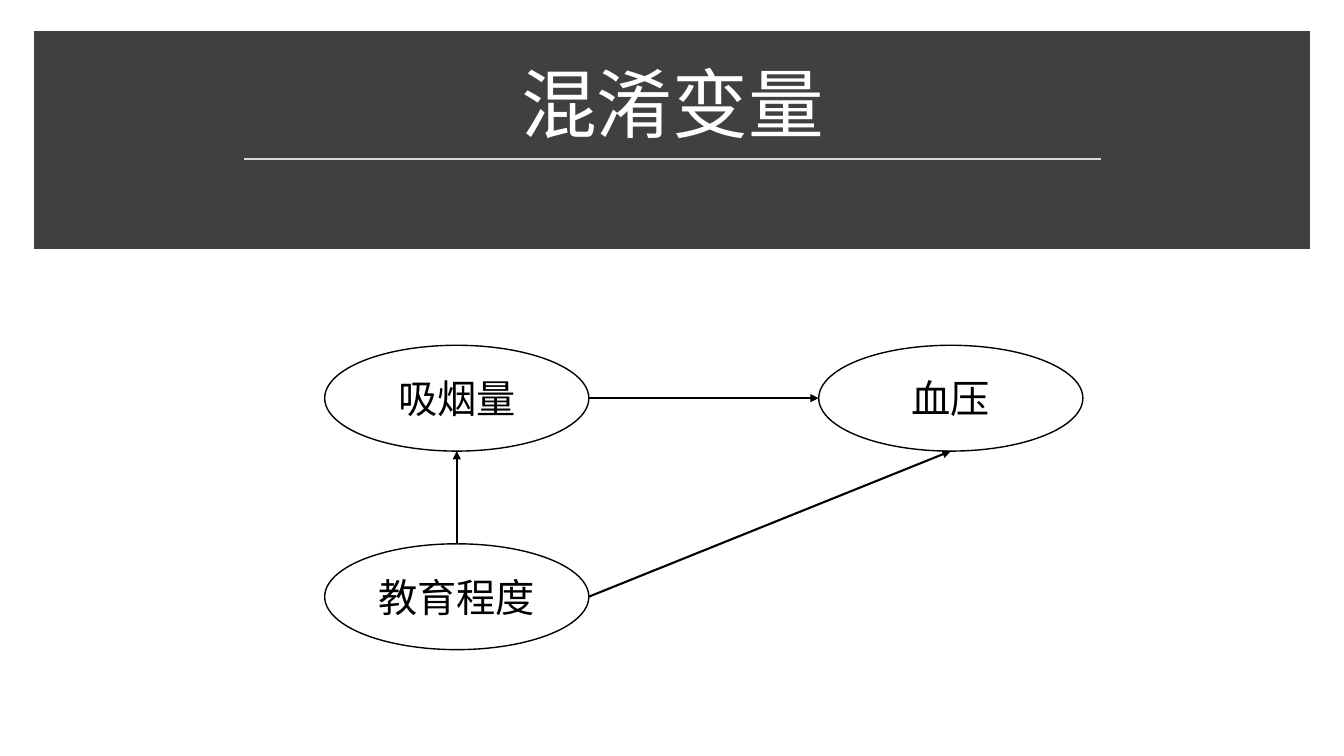
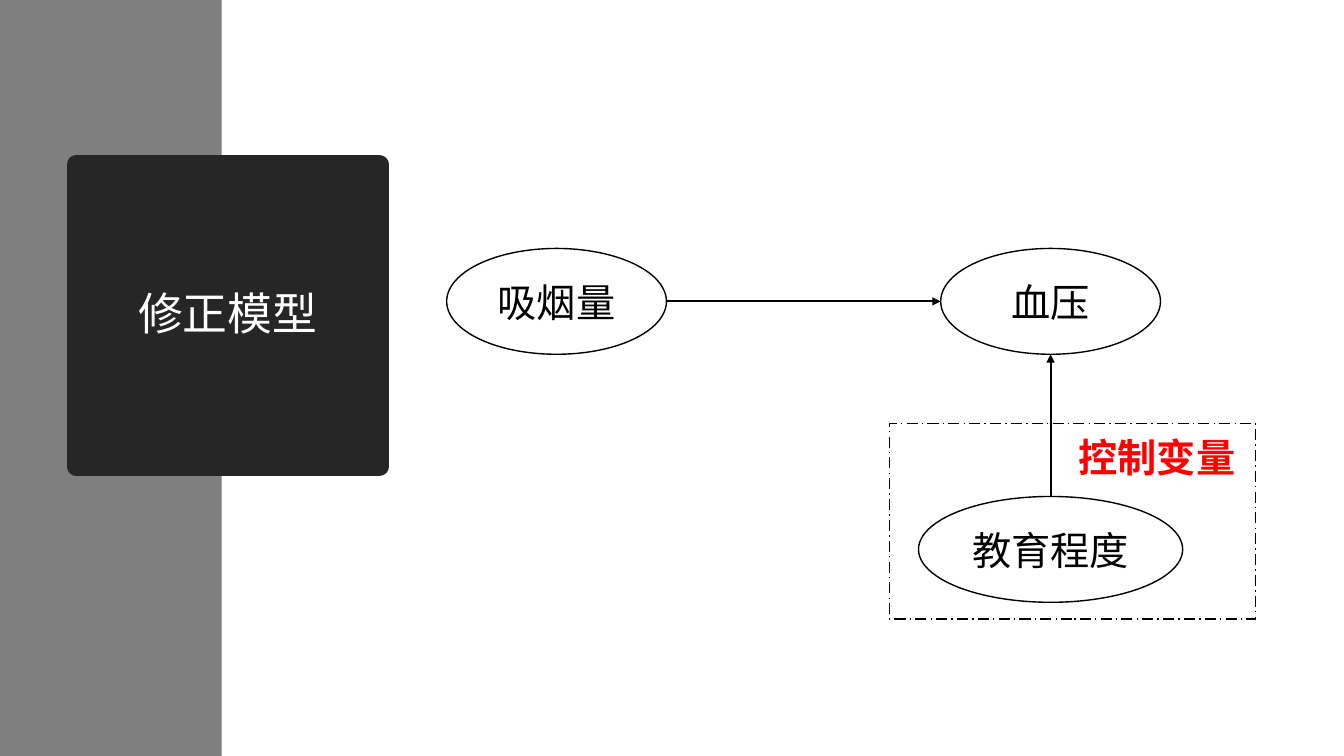
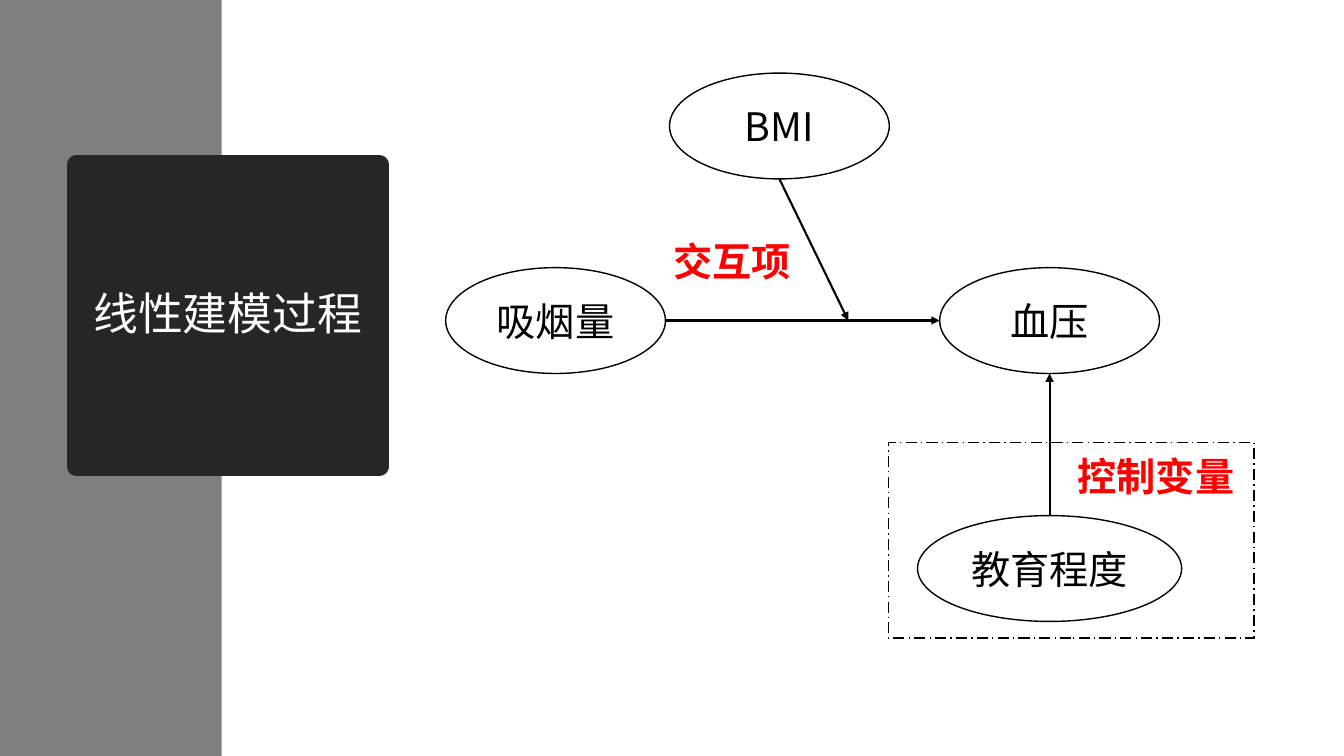
from lxml.etree import SubElement
from pptx import Presentation
from pptx.dml.color import RGBColor
from pptx.enum.dml import MSO_LINE
from pptx.enum.shapes import MSO_CONNECTOR, MSO_SHAPE
from pptx.enum.text import MSO_ANCHOR, MSO_AUTO_SIZE, PP_ALIGN
from pptx.oxml.ns import qn
from pptx.util import Inches, Pt

SLIDE_WIDTH, SLIDE_HEIGHT = 13.33, 7.5
COLORS = {
    "paper": "FFFFFF", "ink": "000000", "accent": "FF0000", "band": "404040",
    "rule": "D9D9D9", "panel": "7F7F7F", "card": "262626",
}
BODY_FONT = "Noto Sans CJK SC"
TEXT = {
    "band title": {"size": Pt(54), "name": "Calibri", "color": "paper"},
    "card title": {"size": Pt(32), "name": "Calibri", "color": "paper"},
    "node": {"size": Pt(28), "name": BODY_FONT, "color": "ink"},
    "label": {"size": Pt(28), "name": BODY_FONT, "color": "accent", "bold": True},
}

# Node places are centre offsets from the first node, and COLUMN is the
# distance from cause to effect. An arrow end is a side of a node, or a
# share of the way along the first arrow.
COLUMN = 4.9
NODE_HEIGHT = 1.05
WIDE, NARROW = 2.62, 2.18
CONTROL_NODE = ("教育程度", COLUMN, 2.46, WIDE)
CONTROL_FRAME = (3.3, 1.21, 3.63, 1.94)
CONTROL_LABEL = ("控制变量", 5.08, 1.26, 1.77)
EFFECT_ARROW = (("吸烟量", "right"), ("血压", "left"))
CONTROL_ARROW = (("教育程度", "top"), ("血压", "bottom"))
PAIR = [("吸烟量", 0, 0, NARROW), ("血压", COLUMN, 0, NARROW)]

SLIDES = [
    {
        "title": "混淆变量", "style": "band", "origin": (4.53, 3.95),
        "nodes": [("吸烟量", 0, 0, WIDE), ("血压", COLUMN, 0, WIDE),
                  ("教育程度", 0, 1.97, WIDE)],
        "arrows": [EFFECT_ARROW,
                   (("教育程度", "right"), ("血压", "bottom")),
                   (("教育程度", "top"), ("吸烟量", "bottom"))],
        "frames": [], "labels": [],
    },
    {
        "title": "修正模型", "style": "card", "origin": (5.52, 2.99),
        "nodes": PAIR + [CONTROL_NODE],
        "arrows": [EFFECT_ARROW, CONTROL_ARROW],
        "frames": [CONTROL_FRAME], "labels": [CONTROL_LABEL],
    },
    {
        "title": "线性建模过程", "style": "card", "origin": (5.51, 3.18),
        "nodes": PAIR + [CONTROL_NODE, ("BMI", 2.22, -1.93, NARROW)],
        "arrows": [EFFECT_ARROW, CONTROL_ARROW, (("BMI", "bottom"), 2 / 3)],
        "frames": [CONTROL_FRAME],
        "labels": [CONTROL_LABEL, ("交互项", 1.07, -0.87, 1.38)],
    },
]
SIDES = {"left": (-0.5, 0), "right": (0.5, 0), "top": (0, -0.5), "bottom": (0, 0.5)}


def rgb(name):
    """Return the named colour."""
    return RGBColor.from_string(COLORS[name])


def set_attributes(target, values):
    """Set every attribute in values on target."""
    for name, value in values.items():
        setattr(target, name, value)


def place(shape, left, top, width, height):
    """Move and size a shape, in inches."""
    set_attributes(shape, {"left": Inches(left), "top": Inches(top),
                           "width": Inches(width), "height": Inches(height)})


def write(shape, text, style, align, anchor, **frame_values):
    """Write one paragraph in a named text style."""
    frame = shape.text_frame
    frame.text = text
    set_attributes(frame, {"vertical_anchor": anchor, **frame_values})
    paragraph = frame.paragraphs[0]
    paragraph.alignment = align
    font = paragraph.runs[0].font
    values = dict(TEXT[style])
    font.color.rgb = rgb(values.pop("color"))
    set_attributes(font, values)
    SubElement(font._element, qn("a:ea"), typeface=BODY_FONT)
    return paragraph


def paint(shape, fill, line=None, width=1, dash=None, join="miter"):
    """Fill a shape and draw its outline."""
    shape.fill.solid()
    shape.fill.fore_color.rgb = rgb(fill)
    if line is None:
        shape.line.fill.background()
        return
    shape.line.color.rgb = rgb(line)
    shape.line.width = Pt(width)
    if dash is not None:
        shape.line.dash_style = dash
    SubElement(shape.line._ln, qn("a:" + join))


def add_shape(slide, kind, box, *outline, **outline_values):
    """Add a painted preset shape without shadow."""
    shape = slide.shapes.add_shape(kind, *(Inches(length) for length in box))
    shape.shadow.inherit = False
    paint(shape, *outline, **outline_values)
    return shape


def add_line(slide, start, end, color, width, arrow=False):
    """Add a straight line, with an arrowhead at its end if asked."""
    points = (Inches(length) for length in (*start, *end))
    line = slide.shapes.add_connector(MSO_CONNECTOR.STRAIGHT, *points)
    line.line.color.rgb = rgb(color)
    line.line.width = Pt(width)
    if arrow:
        SubElement(line.line._ln, qn("a:tailEnd"), type="triangle")
    SubElement(line.element.spPr, qn("a:effectLst"))


def add_title(slide, text, style):
    """Format the title with the band or the card behind it."""
    title = slide.shapes.title
    if style == "band":
        place(title, 0.58, 0.51, 12.18, 1.02)
        anchor = MSO_ANCHOR.BOTTOM
        backdrop = add_shape(slide, MSO_SHAPE.RECTANGLE, (0.41, 0.38, 12.51, 2.02),
                             "band", "band", 10)
        add_line(slide, (2.42, 1.58), (10.92, 1.58), "rule", 1.75)
    else:
        place(title, 0.76, 1.63, 3, 3)
        paint(title, "card", "card", 13.75, join="round")
        anchor = MSO_ANCHOR.MIDDLE
        backdrop = add_shape(slide, MSO_SHAPE.RECTANGLE, (0, 0, 2.2, SLIDE_HEIGHT), "panel")
    title.element.addprevious(backdrop.element)
    paragraph = write(title, text, style + " title", PP_ALIGN.CENTER, anchor,
                      word_wrap=True, auto_size=MSO_AUTO_SIZE.NONE)
    paragraph.line_spacing = 0.9


def add_model(slide, origin, nodes, arrows, frames, labels):
    """Draw the frames, nodes, arrows and labels of a causal model."""
    origin_x, origin_y = origin
    for across, down, width, height in frames:
        add_shape(slide, MSO_SHAPE.RECTANGLE,
                  (origin_x + across, origin_y + down, width, height),
                  "paper", "ink", dash=MSO_LINE.LONG_DASH_DOT)

    centers = {}
    for name, across, down, width in nodes:
        x, y = origin_x + across, origin_y + down
        centers[name] = (x, y, width)
        node = add_shape(slide, MSO_SHAPE.OVAL,
                         (x - width / 2, y - NODE_HEIGHT / 2, width, NODE_HEIGHT),
                         "paper", "ink")
        write(node, name, "node", PP_ALIGN.CENTER, MSO_ANCHOR.MIDDLE, word_wrap=True)

    def locate(end):
        """Return the point of an arrow end."""
        if isinstance(end, float):
            (x1, y1), (x2, y2) = map(locate, arrows[0])
            return x1 + end * (x2 - x1), y1 + end * (y2 - y1)
        name, side = end
        x, y, width = centers[name]
        return x + SIDES[side][0] * width, y + SIDES[side][1] * NODE_HEIGHT

    for start, end in arrows:
        add_line(slide, locate(start), locate(end), "ink", 1.5, arrow=True)

    for text, across, down, width in labels:
        label = slide.shapes.add_textbox(Inches(origin_x + across), Inches(origin_y + down),
                                         Inches(width), Inches(0.57))
        write(label, text, "label", PP_ALIGN.LEFT, MSO_ANCHOR.TOP,
              word_wrap=False, auto_size=MSO_AUTO_SIZE.SHAPE_TO_FIT_TEXT)


def build():
    """Build and save the presentation."""
    presentation = Presentation()
    presentation.slide_width = Inches(SLIDE_WIDTH)
    presentation.slide_height = Inches(SLIDE_HEIGHT)
    title_only = presentation.slide_layouts[5]
    for content in SLIDES:
        slide = presentation.slides.add_slide(title_only)
        add_title(slide, content["title"], content["style"])
        add_model(slide, *(content[part] for part in
                           ("origin", "nodes", "arrows", "frames", "labels")))
    presentation.save("out.pptx")


build()
